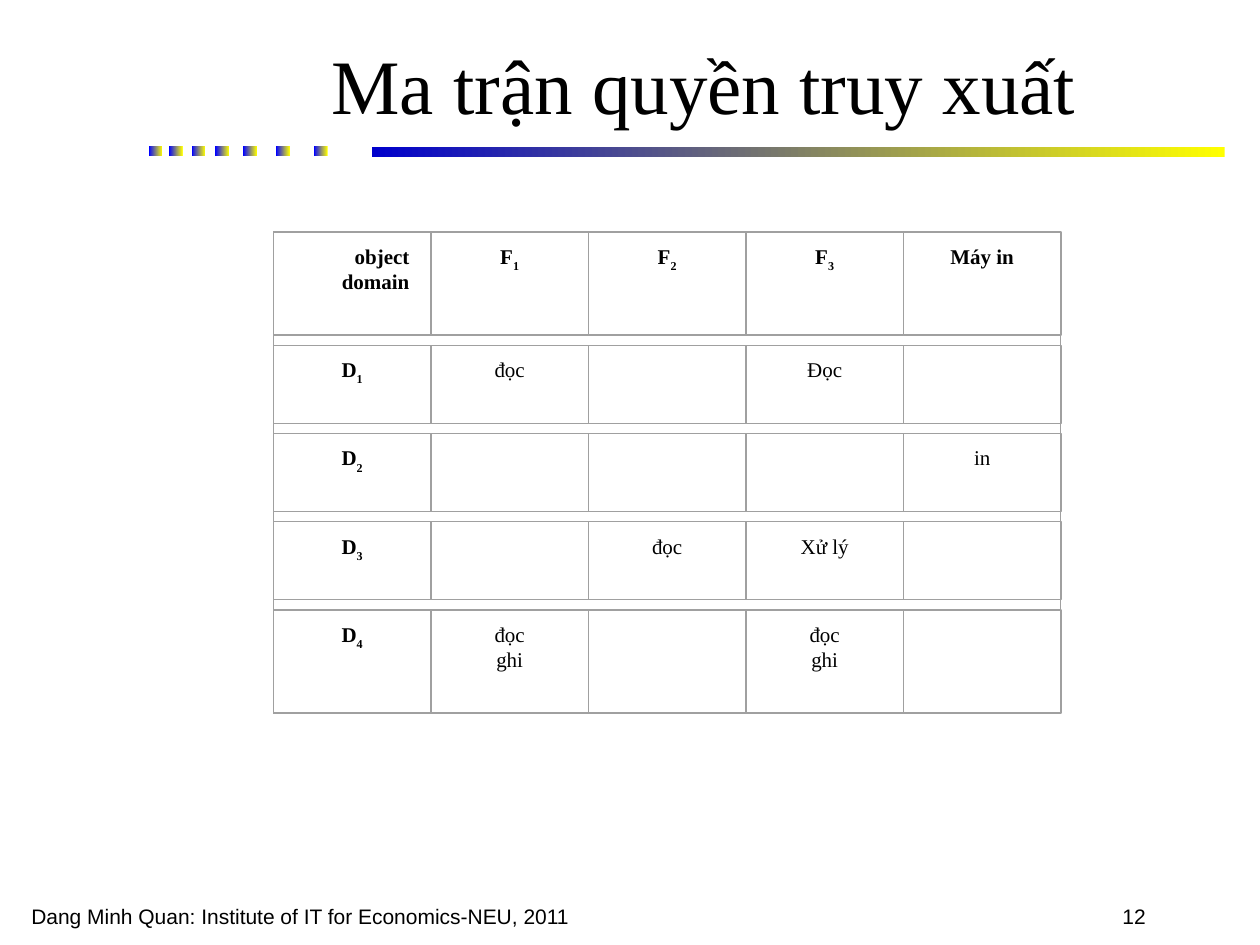
from pptx import Presentation
from pptx.dml.color import RGBColor
from pptx.enum.shapes import MSO_SHAPE
from pptx.enum.text import MSO_ANCHOR, MSO_AUTO_SIZE, PP_ALIGN
from pptx.util import Inches, Pt

BLACK = RGBColor(0, 0, 0)
GRAY = RGBColor(0xA0, 0xA0, 0xA0)
YELLOW = RGBColor(0xFF, 0xFF, 0)
BLUE = RGBColor(0, 0, 0xFF)
DARK_BLUE = RGBColor(0, 0, 0xCC)
SERIF, SANS = "Times New Roman", "Arial"

TITLE = "Ma trận quyền truy xuất"
FOOTERS = [  # text, left, width, wrap
    ("12", 8.81, 0.96, False),
    ("Dang Minh Quan: Institute of IT for Economics-NEU, 2011", 0.15, 4.6, True),
]
# "_" marks the start of a subscript, a line break starts a new paragraph
ACCESS_MATRIX = [
    ["object\ndomain", "F_1", "F_2", "F_3", "Máy in"],
    ["D_1", "đọc", "", "Đọc", ""],
    ["D_2", "", "", "", "in"],
    ["D_3", "", "đọc", "Xử lý", ""],
    ["D_4", "đọc\nghi", "", "đọc\nghi", ""],
]
ROW_HEIGHTS = [0.82, 0.62, 0.62, 0.62, 0.82]
ROW_GAP = 0.08
COLUMN_WIDTH = 1.25
MATRIX_LEFT, MATRIX_TOP = 2.17, 1.84

DASH_LEFTS = [1.18, 1.34, 1.52, 1.71, 1.93, 2.19, 2.49]


def style(paragraph, name, size, bold=False, align=PP_ALIGN.LEFT):
    paragraph.alignment = align
    font = paragraph.font
    font.name, font.size, font.bold = name, Pt(size), bold
    font.color.rgb = BLACK


def add_box(shapes, left, top, width, height):
    box = shapes.add_shape(MSO_SHAPE.RECTANGLE, Inches(left), Inches(top),
                           Inches(width), Inches(height))
    box.shadow.inherit = False
    return box


def add_gradient_bar(shapes, left, top, width, start_color):
    """Bar running from start_color on the left to yellow on the right."""
    bar = add_box(shapes, left, top, width, 0.08)
    bar.line.fill.background()
    bar.fill.gradient()
    bar.fill.gradient_angle = 180
    for stop, color in zip(bar.fill.gradient_stops, (YELLOW, start_color)):
        stop.color.rgb = color


def add_outline(shapes, left, top, width, height, line_width):
    outline = add_box(shapes, left, top, width, height)
    outline.fill.background()
    outline.line.color.rgb = GRAY
    outline.line.width = Pt(line_width)
    return outline


def write_cell(cell, text, bold, align):
    frame = cell.text_frame
    frame.word_wrap = True
    frame.vertical_anchor = MSO_ANCHOR.TOP
    frame.margin_left = frame.margin_right = Inches(0.17)
    frame.margin_top = frame.margin_bottom = Inches(0.09)
    for index, line in enumerate(text.split("\n")):
        paragraph = frame.add_paragraph() if index else frame.paragraphs[0]
        style(paragraph, SERIF, 12, bold, align)
        base, _, subscript = line.partition("_")
        paragraph.add_run().text = base
        if subscript:
            run = paragraph.add_run()
            run.text = subscript
            run.font._element.set("baseline", "-30000")


def add_matrix(slide):
    shapes = slide.shapes.add_group_shape().shapes
    top = MATRIX_TOP
    for row, (texts, height) in enumerate(zip(ACCESS_MATRIX, ROW_HEIGHTS)):
        for column, text in enumerate(texts):
            left = MATRIX_LEFT + column * COLUMN_WIDTH
            cell = add_outline(shapes, left, top, COLUMN_WIDTH, height, 0)
            is_corner = row == column == 0
            if text:
                write_cell(cell, text, bold=row == 0 or column == 0,
                           align=PP_ALIGN.RIGHT if is_corner else PP_ALIGN.CENTER)
        top += height + ROW_GAP
    add_outline(shapes, MATRIX_LEFT, MATRIX_TOP, COLUMN_WIDTH * len(ACCESS_MATRIX[0]),
                top - ROW_GAP - MATRIX_TOP, 0.62)


def add_title(slide):
    title = slide.shapes.title
    title.left, title.top = Inches(1.25), Inches(0.25)
    title.width, title.height = Inches(8.67), Inches(0.83)
    frame = title.text_frame
    frame.text = TITLE
    frame.auto_size = MSO_AUTO_SIZE.NONE
    frame.vertical_anchor = MSO_ANCHOR.MIDDLE
    style(frame.paragraphs[0], SERIF, 44, align=PP_ALIGN.CENTER)


def add_footers(slide):
    for text, left, width, wrap in FOOTERS:
        footer = slide.shapes.add_textbox(Inches(left), Inches(7.12),
                                          Inches(width), Inches(0.3))
        frame = footer.text_frame
        frame.text = text
        frame.word_wrap = wrap
        # An unwrapped box that is wider than its text would centre it
        frame.auto_size = MSO_AUTO_SIZE.SHAPE_TO_FIT_TEXT
        style(frame.paragraphs[0], SANS, 12)


def main():
    deck = Presentation()
    deck.slide_width, deck.slide_height = Inches(10), Inches(7.5)
    slide = deck.slides.add_slide(deck.slide_layouts[5])
    for left in DASH_LEFTS:
        add_gradient_bar(slide.shapes, left, 1.16, 0.11, BLUE)
    add_gradient_bar(slide.shapes, 2.95, 1.17, 6.77, DARK_BLUE)
    add_footers(slide)
    add_title(slide)
    add_matrix(slide)
    deck.save("out.pptx")


if __name__ == "__main__":
    main()
